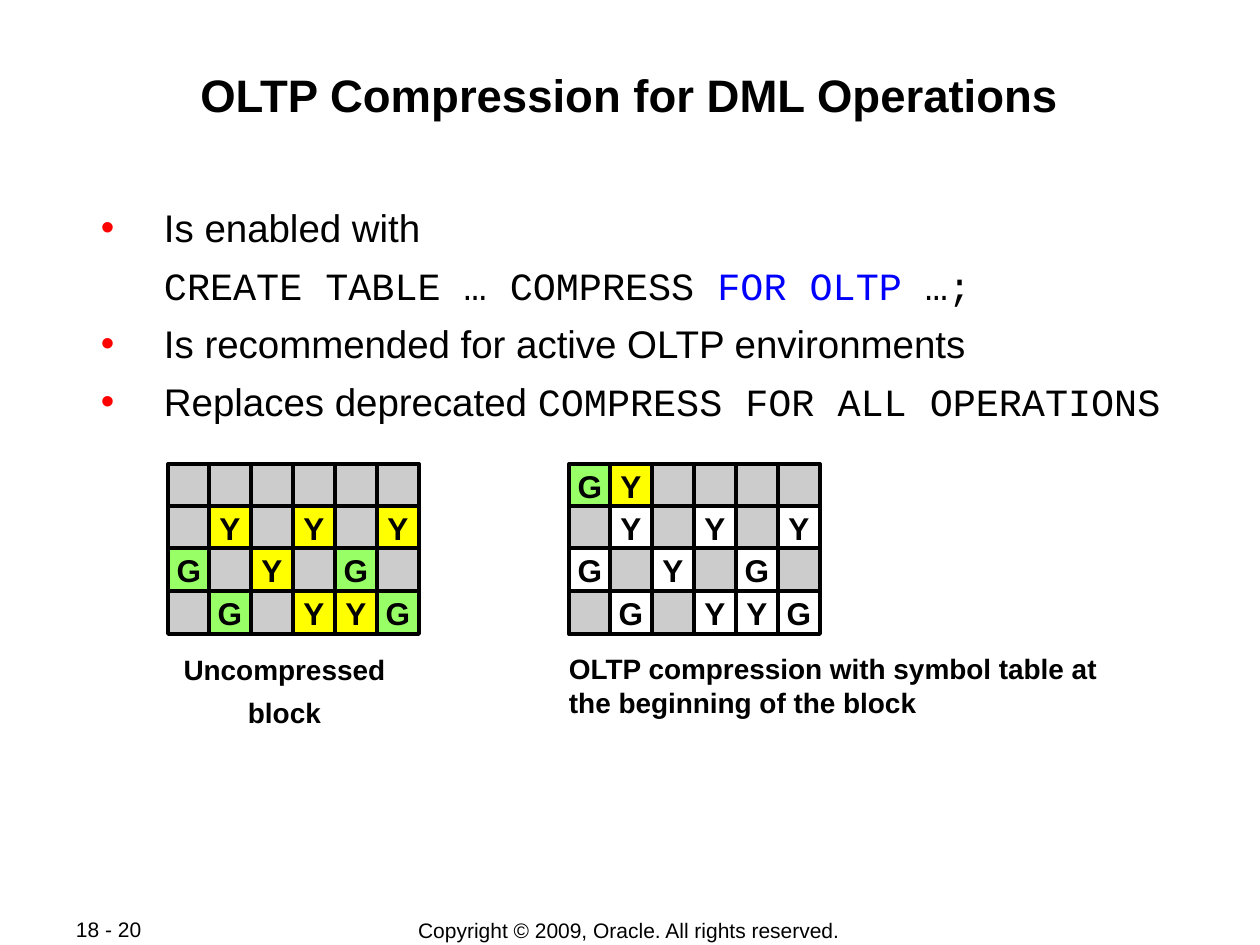
from dataclasses import dataclass

from lxml.etree import SubElement
from pptx import Presentation
from pptx.dml.color import RGBColor
from pptx.enum.shapes import MSO_SHAPE
from pptx.enum.text import MSO_ANCHOR as Anchor, MSO_AUTO_SIZE as AutoSize, PP_ALIGN as Align
from pptx.oxml.ns import qn
from pptx.util import Emu, Pt

PX = 914400 // 126
BLACK = RGBColor(0x00, 0x00, 0x00)
WHITE = RGBColor(0xFF, 0xFF, 0xFF)
GRAY = RGBColor(0xCC, 0xCC, 0xCC)
YELLOW = RGBColor(0xFF, 0xFF, 0x00)
GREEN = RGBColor(0x99, 0xFF, 0x66)
BLUE = RGBColor(0x00, 0x00, 0xFF)
RED = RGBColor(0xFF, 0x00, 0x00)
SANS, MONO = "Arial", "Courier New"

SYMBOL_FILLS = {"G": GREEN, "Y": YELLOW}
CELL_WIDTH, CELL_HEIGHT = 42, 43
GRID_WIDTH, GRID_HEIGHT = 251, 170
GRID_TOP = 464
HANGING = 63
BODY_INDENT = 79


@dataclass(frozen=True)
class Box:
    left: int
    top: int
    width: int
    height: int

    def emu(self) -> tuple:
        return tuple(px(n) for n in (self.left, self.top, self.width, self.height))


@dataclass(frozen=True)
class Span:
    text: str
    font: str = SANS
    color: RGBColor = BLACK


@dataclass(frozen=True)
class BodyLine:
    spans: tuple
    bulleted: bool = True


@dataclass(frozen=True)
class Block:
    left: int
    rows: tuple
    colored_rows: int


@dataclass(frozen=True)
class Label:
    box: Box
    lines: tuple
    size: int
    bold: bool = False
    align: Align = Align.CENTER
    anchor: Anchor = Anchor.TOP
    wrap: bool = False
    inset_top: int = 6


TITLE = Label(Box(84, 60, 1091, 121), ("OLTP Compression for DML Operations",), 26,
              bold=True, wrap=True, inset_top=7)
BODY_BOX = Box(84, 199, 1091, 217)
BODY = (
    BodyLine((Span("Is enabled with"),)),
    BodyLine((Span("CREATE TABLE … COMPRESS ", MONO), Span("FOR OLTP", MONO, BLUE),
              Span(" …;", MONO)), bulleted=False),
    BodyLine((Span("Is recommended for active OLTP environments"),)),
    BodyLine((Span("Replaces deprecated "), Span("COMPRESS FOR ALL OPERATIONS", MONO))),
)
BLOCKS = (
    Block(168, ("......", ".Y.Y.Y", "G.Y.G.", ".G.YYG"), 4),
    Block(569, ("GY....", ".Y.Y.Y", "G.Y.G.", ".G.YYG"), 1),
)
LABELS = (
    Label(Box(346, 917, 566, 26), ("Copyright © 2009, Oracle. All rights reserved.",), 12,
          anchor=Anchor.MIDDLE),
    Label(Box(63, 917, 134, 25), ("18 - 20",), 12, align=Align.LEFT, anchor=Anchor.MIDDLE),
    Label(Box(171, 645, 227, 87), ("Uncompressed", "block"), 16, bold=True, inset_top=8),
    Label(Box(556, 644, 599, 81),
          ("OLTP compression with symbol table at the beginning of the block",), 16,
          bold=True, align=Align.LEFT, wrap=True, inset_top=8),
)


def px(length: int) -> Emu:
    return Emu(length * PX)


def apply(target, values: dict) -> None:
    for name, value in values.items():
        setattr(target, name, value)


def set_font(font, size: int, bold: bool = False, name: str = SANS,
             color: RGBColor = BLACK) -> None:
    apply(font, {"size": Pt(size), "bold": bold, "name": name})
    font.color.rgb = color


def place(shape, box: Box) -> None:
    apply(shape, dict(zip(("left", "top", "width", "height"), box.emu())))


def set_frame(frame, anchor: Anchor, wrap: bool, top: int, side: int) -> None:
    apply(frame, {
        "auto_size": AutoSize.NONE, "word_wrap": wrap, "vertical_anchor": anchor,
        "margin_left": px(side), "margin_right": px(side),
        "margin_top": px(top), "margin_bottom": px(min(top, 6)),
    })


def write_label(shape, label: Label, side: int = 13) -> None:
    frame = shape.text_frame
    set_frame(frame, label.anchor, label.wrap, label.inset_top, side)
    for index, line in enumerate(label.lines):
        paragraph = frame.paragraphs[0] if index == 0 else frame.add_paragraph()
        apply(paragraph, {"alignment": label.align, "space_before": Pt(5 if index else 0)})
        run = paragraph.add_run()
        run.text = line
        set_font(run.font, label.size, label.bold)


def set_bullet(paragraph, bulleted: bool) -> None:
    """Indent the paragraph and hang a red bullet in front of it if asked."""
    properties = paragraph._p.get_or_add_pPr()
    properties.set("marL", str(px(BODY_INDENT)))
    properties.set("indent", str(px(-HANGING) if bulleted else 0))
    if not bulleted:
        SubElement(properties, qn("a:buNone"))
        return
    color = SubElement(properties, qn("a:buClr"))
    SubElement(color, qn("a:srgbClr"), val=str(RED))
    SubElement(properties, qn("a:buFont"), typeface=SANS)
    SubElement(properties, qn("a:buChar"), char="•")


def write_body(shape) -> None:
    place(shape, BODY_BOX)
    frame = shape.text_frame
    set_frame(frame, Anchor.TOP, True, 5, 1)
    for index, line in enumerate(BODY):
        paragraph = frame.paragraphs[0] if index == 0 else frame.add_paragraph()
        set_bullet(paragraph, line.bulleted)
        apply(paragraph, {"alignment": Align.LEFT, "space_before": Pt(6.75 if index else 0)})
        for span in line.spans:
            run = paragraph.add_run()
            run.text = span.text
            set_font(run.font, 22, name=span.font, color=span.color)


def draw_cell(group, box: Box, symbol: str, fill: RGBColor) -> None:
    cell = group.shapes.add_shape(MSO_SHAPE.RECTANGLE, *box.emu())
    cell.shadow.inherit = False
    cell.fill.solid()
    cell.fill.fore_color.rgb = fill
    cell.line.color.rgb = BLACK
    cell.line.width = Pt(2.25)
    if symbol != ".":
        write_label(cell, Label(box, (symbol,), 18, bold=True, anchor=Anchor.MIDDLE))


def draw_block(slide, block: Block) -> None:
    """Draw a block of cells; only its first colored_rows color their symbols."""
    group = slide.shapes.add_group_shape()
    row_span, column_span = len(block.rows) - 1, len(block.rows[0]) - 1
    for row, symbols in enumerate(block.rows):
        top = GRID_TOP + row * (GRID_HEIGHT - CELL_HEIGHT) // row_span
        for column, symbol in enumerate(symbols):
            left = block.left + column * (GRID_WIDTH - CELL_WIDTH) // column_span
            fill = GRAY
            if symbol in SYMBOL_FILLS:
                fill = SYMBOL_FILLS[symbol] if row < block.colored_rows else WHITE
            draw_cell(group, Box(left, top, CELL_WIDTH, CELL_HEIGHT), symbol, fill)


def main() -> None:
    presentation = Presentation()
    apply(presentation, {"slide_width": px(1260), "slide_height": px(945)})
    slide = presentation.slides.add_slide(presentation.slide_layouts[1])
    title, body = slide.placeholders
    place(title, TITLE.box)
    write_label(title, TITLE, side=1)
    write_body(body)
    for block in BLOCKS:
        draw_block(slide, block)
    for label in LABELS:
        write_label(slide.shapes.add_textbox(*label.box.emu()), label)
    presentation.save("out.pptx")


if __name__ == "__main__":
    main()
